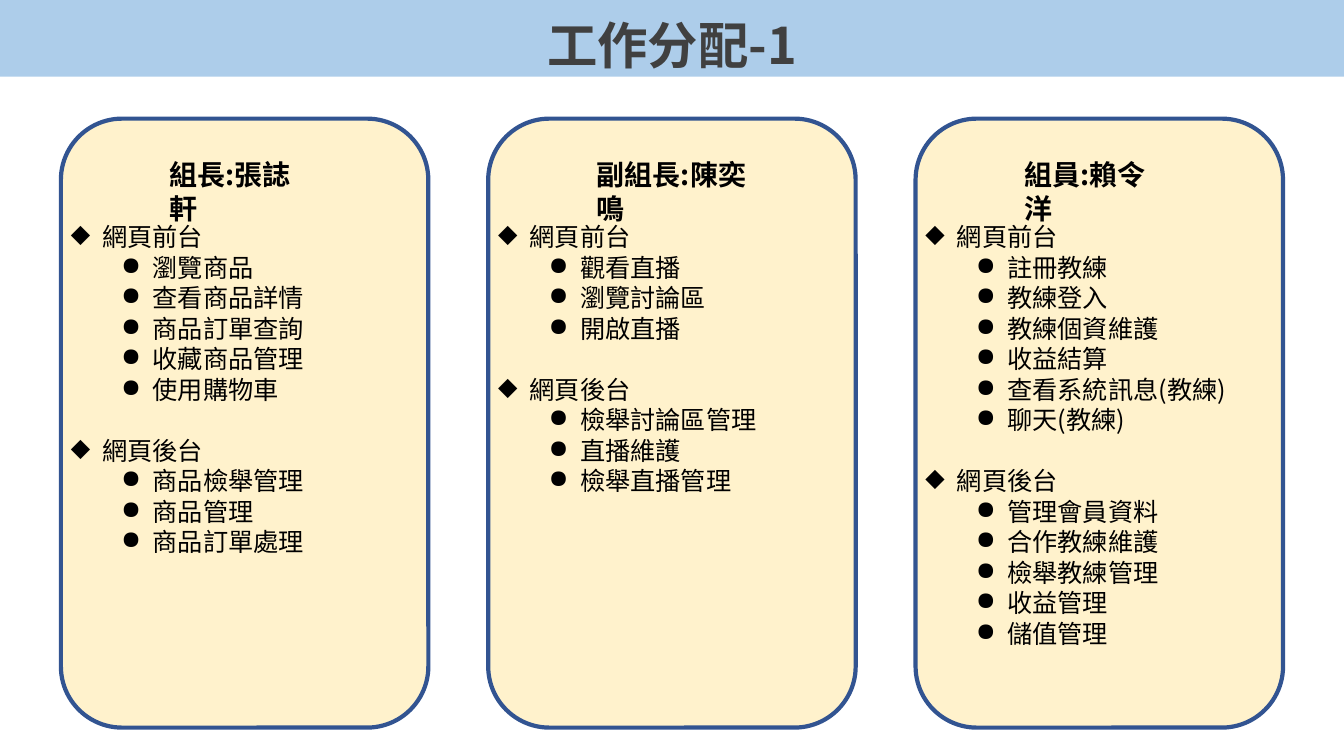
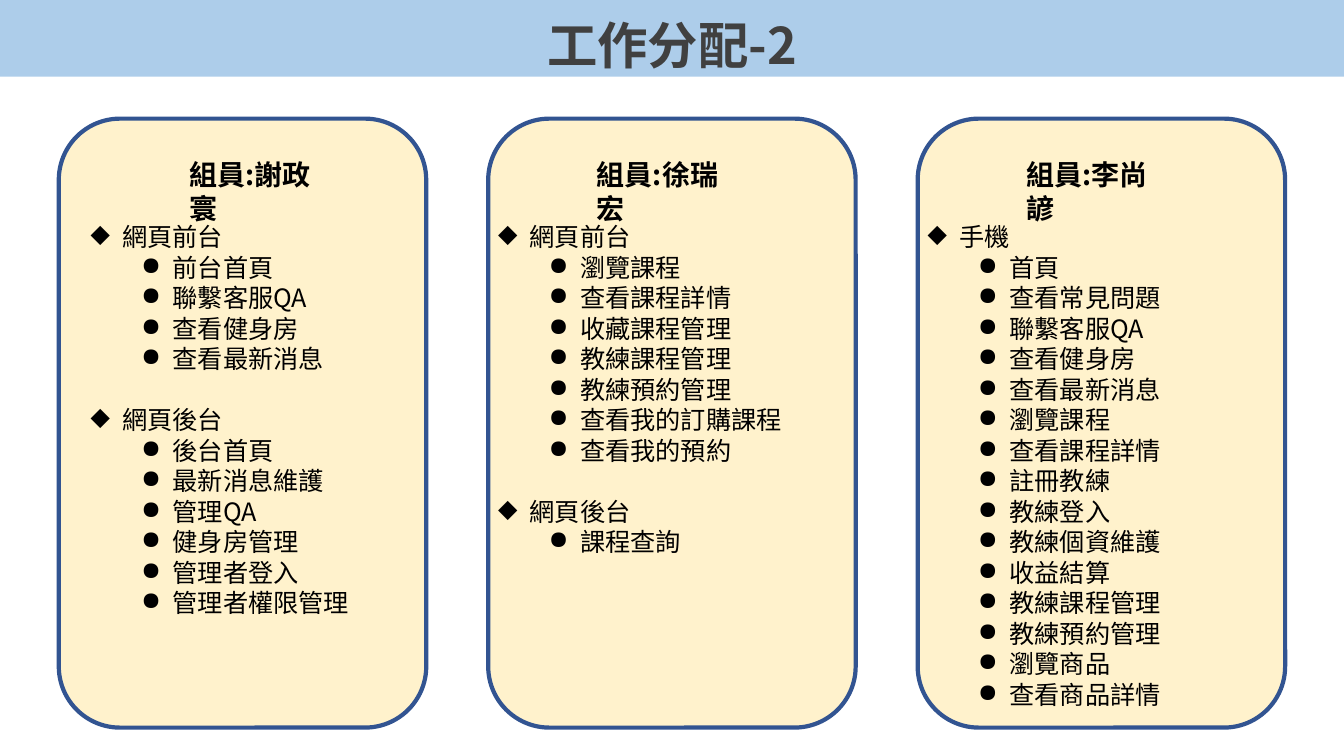
from collections import namedtuple

from lxml.etree import SubElement
from pptx import Presentation
from pptx.dml.color import RGBColor
from pptx.enum.shapes import MSO_SHAPE
from pptx.enum.text import MSO_ANCHOR, PP_ALIGN
from pptx.oxml.ns import qn
from pptx.util import Pt

EMU_PER_PX = 9525
SLIDE_WIDTH, SLIDE_HEIGHT = 1280, 720
BAND_HEIGHT = 73
CARD_TOP, CARD_WIDTH, CARD_HEIGHT = 113, 350, 580
NAME_OFFSET, NAME_TOP, NAME_HEIGHT = 94, 146, 42
LIST_TOP, LIST_HEIGHT = 206, 480
HANGING = 30
LIST_LINE, NAME_LINE = 21.8, 23.7

FONT = "Noto Sans CJK KR"
BAND_BLUE = "ADCDEA"
TITLE_GRAY = "404040"
CARD_CREAM = "FFF2CC"
CARD_BORDER = "325491"
BLACK = "000000"

Card = namedtuple("Card", "name sections name_width text_shift", defaults=(160, 0))

SLIDES = [
    ("工作分配-1", 407, [
        Card("組長:張誌軒", {
            "網頁前台": ["瀏覽商品", "查看商品詳情", "商品訂單查詢", "收藏商品管理", "使用購物車"],
            "網頁後台": ["商品檢舉管理", "商品管理", "商品訂單處理"],
        }),
        Card("副組長:陳奕鳴", {
            "網頁前台": ["觀看直播", "瀏覽討論區", "開啟直播"],
            "網頁後台": ["檢舉討論區管理", "直播維護", "檢舉直播管理"],
        }, name_width=187),
        Card("組員:賴令洋", {
            "網頁前台": ["註冊教練", "教練登入", "教練個資維護", "收益結算",
                     "查看系統訊息(教練)", "聊天(教練)"],
            "網頁後台": ["管理會員資料", "合作教練維護", "檢舉教練管理", "收益管理", "儲值管理"],
        }),
    ]),
    ("工作分配-2", 409, [
        Card("組員:謝政寰", {
            "網頁前台": ["前台首頁", "聯繫客服QA", "查看健身房", "查看最新消息"],
            "網頁後台": ["後台首頁", "最新消息維護", "管理QA", "健身房管理",
                     "管理者登入", "管理者權限管理"],
        }, text_shift=21),
        Card("組員:徐瑞宏", {
            "網頁前台": ["瀏覽課程", "查看課程詳情", "收藏課程管理", "教練課程管理",
                     "教練預約管理", "查看我的訂購課程", "查看我的預約"],
            "網頁後台": ["課程查詢"],
        }),
        Card("組員:李尚諺", {
            "手機": ["首頁", "查看常見問題", "聯繫客服QA", "查看健身房", "查看最新消息",
                   "瀏覽課程", "查看課程詳情", "註冊教練", "教練登入", "教練個資維護",
                   "收益結算", "教練課程管理", "教練預約管理", "瀏覽商品", "查看商品詳情"],
        }),
    ]),
]


def px(length):
    return length * EMU_PER_PX


def box(*lengths):
    return [px(length) for length in lengths]


def color(value):
    return RGBColor.from_string(value)


def add_run(paragraph, text, size, text_color=BLACK, bold=False):
    run = paragraph.add_run()
    run.text = text
    font = run.font
    font.name = FONT
    font.size = Pt(size)
    font.bold = bold
    font.color.rgb = color(text_color)
    SubElement(font._element, qn("a:ea")).set("typeface", FONT)


def add_panel(shapes, preset, bounds, fill, border=None):
    shape = shapes.add_shape(preset, *box(*bounds))
    shape.shadow.inherit = False
    shape.fill.solid()
    shape.fill.fore_color.rgb = color(fill)
    if border:
        shape.line.color.rgb = color(border)
        shape.line.width = Pt(3)
    else:
        shape.line.fill.background()
    return shape


def add_text_frame(shapes, bounds):
    frame = shapes.add_textbox(*box(*bounds)).text_frame
    frame.word_wrap = True
    return frame


def add_title(slide, title):
    band = add_panel(slide.shapes, MSO_SHAPE.RECTANGLE,
                     (0, 0, SLIDE_WIDTH, BAND_HEIGHT), BAND_BLUE)
    band.text_frame.vertical_anchor = MSO_ANCHOR.MIDDLE
    paragraph = band.text_frame.paragraphs[0]
    paragraph.alignment = PP_ALIGN.CENTER
    paragraph.line_spacing = 1.2
    add_run(paragraph, title, 36, TITLE_GRAY, bold=True)


def add_bullet(paragraph, text, marker, margin, level=0):
    paragraph.level = level
    paragraph.line_spacing = Pt(LIST_LINE)
    properties = paragraph._p.get_or_add_pPr()
    properties.set("marL", str(px(margin)))
    properties.set("indent", str(px(-HANGING)))
    SubElement(properties, qn("a:buChar")).set("char", marker)
    add_run(paragraph, text, 18)


def add_sections(frame, sections):
    for index, (heading, tasks) in enumerate(sections.items()):
        paragraph = frame.add_paragraph() if index else frame.paragraphs[0]
        if index:
            paragraph.space_before = Pt(LIST_LINE)
        add_bullet(paragraph, heading, "◆", HANGING)
        for task in tasks:
            add_bullet(frame.add_paragraph(), task, "●", 78, level=1)


def add_card(slide, left, card):
    shapes = slide.shapes.add_group_shape().shapes
    add_panel(shapes, MSO_SHAPE.ROUNDED_RECTANGLE,
              (left, CARD_TOP, CARD_WIDTH, CARD_HEIGHT), CARD_CREAM, CARD_BORDER)
    text_left = left + card.text_shift
    name_frame = add_text_frame(
        shapes, (text_left + NAME_OFFSET, NAME_TOP, card.name_width, NAME_HEIGHT))
    paragraph = name_frame.paragraphs[0]
    paragraph.line_spacing = Pt(NAME_LINE)
    add_run(paragraph, card.name, 20, bold=True)
    list_frame = add_text_frame(shapes, (text_left, LIST_TOP, CARD_WIDTH, LIST_HEIGHT))
    add_sections(list_frame, card.sections)


def main():
    presentation = Presentation()
    presentation.slide_width = px(SLIDE_WIDTH)
    presentation.slide_height = px(SLIDE_HEIGHT)
    center_left = (SLIDE_WIDTH - CARD_WIDTH) // 2
    for title, pitch, cards in SLIDES:
        slide = presentation.slides.add_slide(presentation.slide_layouts[6])
        add_title(slide, title)
        for index, card in enumerate(cards):
            add_card(slide, center_left + (index - 1) * pitch, card)
    presentation.save("out.pptx")


if __name__ == "__main__":
    main()
